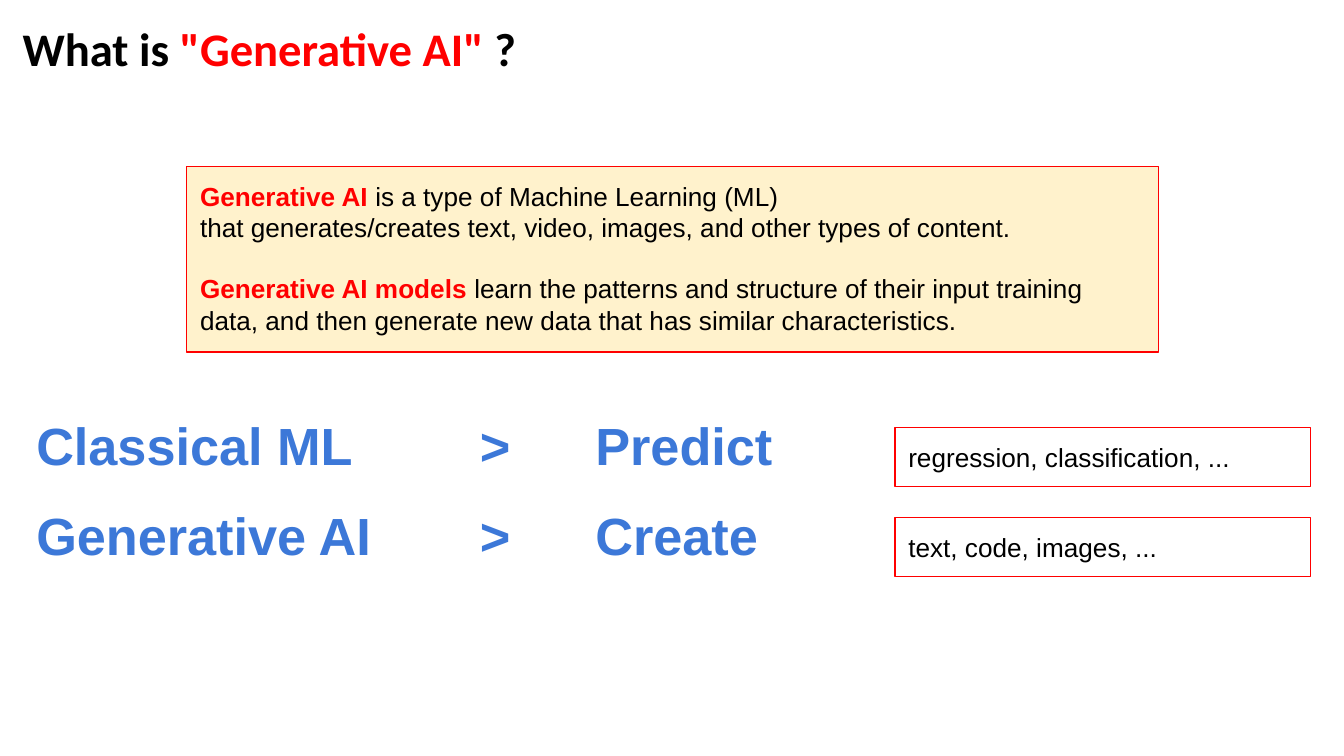
from dataclasses import dataclass

from pptx import Presentation
from pptx.dml.color import RGBColor
from pptx.enum.shapes import MSO_SHAPE
from pptx.enum.text import MSO_ANCHOR, MSO_AUTO_SIZE, PP_ALIGN
from pptx.util import Inches, Pt

RECT = MSO_SHAPE.RECTANGLE
TOP, MIDDLE = MSO_ANCHOR.TOP, MSO_ANCHOR.MIDDLE
GROW = MSO_AUTO_SIZE.SHAPE_TO_FIT_TEXT
LEFT = PP_ALIGN.LEFT


@dataclass(frozen=True)
class Theme:
    black: RGBColor = RGBColor(0, 0, 0)
    red: RGBColor = RGBColor(255, 0, 0)
    blue: RGBColor = RGBColor(0x3C, 0x78, 0xD8)
    cream: RGBColor = RGBColor(0xFF, 0xF2, 0xCC)
    head: Pt = Pt(25)
    body: Pt = Pt(14)
    big: Pt = Pt(28)
    edge: Pt = Pt(0.75)
    gap: Pt = Pt(16)


THEME = Theme()
PLAIN = {"name": "Arial", "size": THEME.body, "bold": False, "color": THEME.black}
TERM = PLAIN | {"bold": True, "color": THEME.red}
WORD = PLAIN | {"size": THEME.big, "bold": True, "color": THEME.blue}
TITLE = PLAIN | {"name": "Calibri", "size": THEME.head, "bold": True}
ACCENT = TITLE | {"color": THEME.red}
PAD = {f"margin_{side}": Inches(0.1)
       for side in ("left", "right", "top", "bottom")}


def set_all(item, values):
    for name, value in values.items():
        setattr(item, name, value)


def add_run(para, text, style):
    run = para.add_run()
    run.text = text
    for name, value in style.items():
        if name == "color":
            run.font.color.rgb = value
        else:
            setattr(run.font, name, value)


def write(frame, paras):
    """Each paragraph is a pair: space before, list of (text, style)."""
    for i, (space, runs) in enumerate(paras):
        para = frame.add_paragraph() if i else frame.paragraphs[0]
        set_all(para, {"alignment": LEFT, "line_spacing": 1.0})
        if space:
            para.space_before = space
        for text, style in runs:
            add_run(para, text, style)


def set_frame(frame, anchor):
    set_all(frame, PAD | {
        "word_wrap": True, "auto_size": GROW, "vertical_anchor": anchor})


def add_title(slide, place, runs):
    box = slide.shapes.add_textbox(*map(Inches, place))
    set_frame(box.text_frame, TOP)
    write(box.text_frame, [(None, runs)])


def add_box(slide, place, paras, fill=None):
    box = slide.shapes.add_shape(RECT, *map(Inches, place))
    box.shadow.inherit = False
    if fill is None:
        box.fill.background()
    else:
        box.fill.solid()
        box.fill.fore_color.rgb = fill
    box.line.color.rgb = THEME.red
    box.line.width = THEME.edge
    set_frame(box.text_frame, TOP if fill else MIDDLE)
    write(box.text_frame, paras)


def add_grid(slide, rows, widths, left, top, pitch):
    table = slide.shapes.add_table(
        len(rows), len(widths), Inches(left), Inches(top),
        Inches(sum(widths)), Inches(pitch * len(rows))).table
    set_all(table, {"first_row": False, "horz_banding": False})
    for col, width in zip(table.columns, widths):
        col.width = Inches(width)
    for r, row in enumerate(rows):
        table.rows[r].height = Inches(pitch)
        for c, text in enumerate(row):
            cell = table.cell(r, c)
            cell.fill.background()
            set_all(cell, PAD | {"vertical_anchor": TOP})
            write(cell.text_frame, [(None, [(text, WORD)])])


def main():
    # Widescreen page, 16 to 9
    deck = Presentation()
    deck.slide_width = Inches(10)
    deck.slide_height = Inches(10) * 9 // 16
    slide = deck.slides.add_slide(deck.slide_layouts[6])

    # Comparison of both kinds, with examples beside each row
    pitch = 0.67
    rows = [("Classical ML", ">", "Predict"), ("Generative AI", ">", "Create")]
    add_grid(slide, rows, [3.3, 0.86, 1.68], 0.17, 3.01, pitch)
    for i, text in enumerate(
            ["regression, classification, ...", "text, code, images, ..."]):
        add_box(slide, (6.66, 3.18 + i * pitch, 3.09, 0.44),
                [(None, [(text, PLAIN)])])

    # Definition
    add_box(slide, (1.39, 1.24, 7.23, 1.38), [
        (None, [("Generative AI", TERM),
                (" is a type of Machine Learning (ML)", PLAIN)]),
        (None, [("that generates/creates text, video, images, "
                 "and other types of content.", PLAIN)]),
        (THEME.gap, [("Generative AI models", TERM),
                     (" learn the patterns and structure of their input "
                      "training data, and then generate new data that has "
                      "similar characteristics.", PLAIN)]),
    ], THEME.cream)

    # Title
    add_title(slide, (0.07, 0.05, 5.59, 0.62), [
        ("What is ", TITLE), ('"Generative AI"', ACCENT), (" ?", TITLE)])

    deck.save("out.pptx")


if __name__ == "__main__":
    main()
